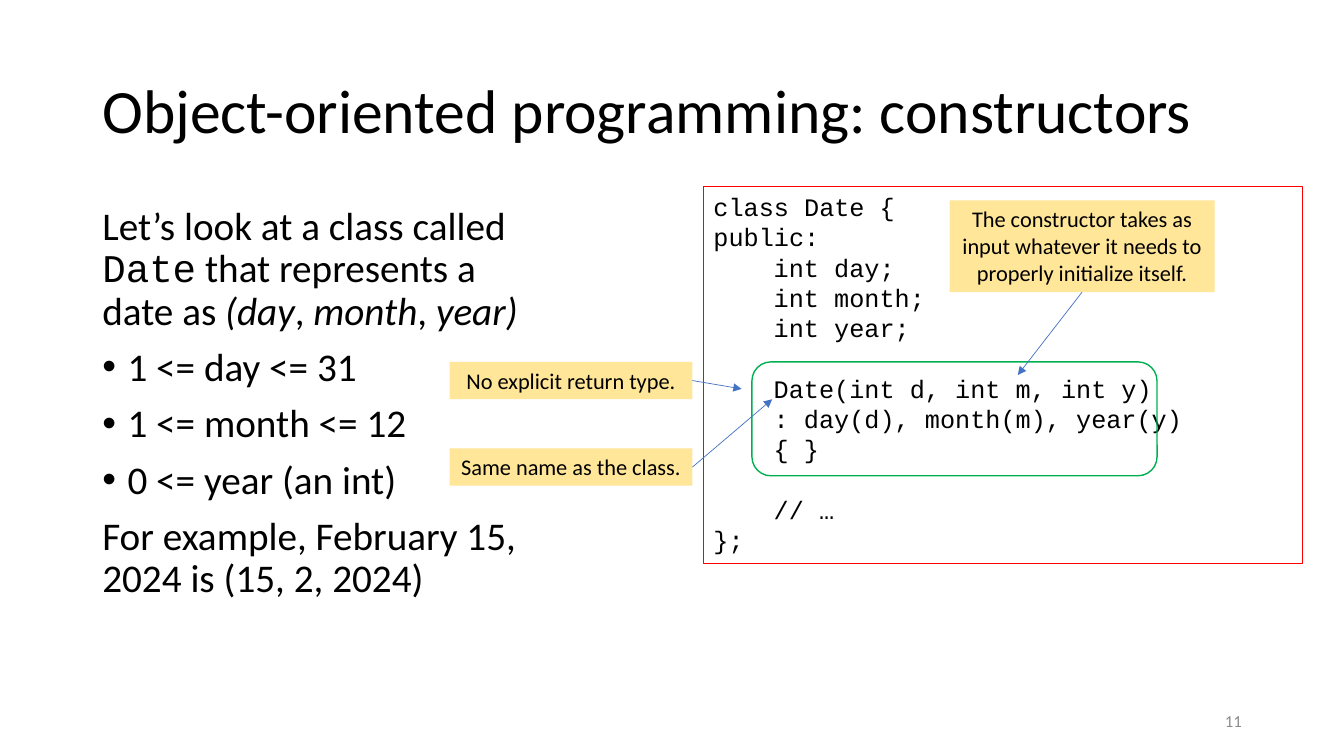
from lxml.etree import SubElement
from pptx import Presentation
from pptx.dml.color import RGBColor
from pptx.enum.shapes import MSO_CONNECTOR, MSO_SHAPE
from pptx.enum.text import MSO_ANCHOR, PP_ALIGN
from pptx.oxml.ns import qn
from pptx.util import Cm, Pt

BODY_FONT = "Calibri"
CODE_FONT = "Courier New"
BOTTOM, RIGHT = 2, 3
CODE_SIZE = 18
CODE_LINE = 21.6
CODE_INDENT = Cm(1.52)

INTRODUCTION = [
    ("Let’s look at a class called ", None),
    ("Date", "code"),
    (" that represents a date as ", None),
    ("(day", "italic"),
    (", ", None),
    ("month", "italic"),
    (", ", None),
    ("year)", "italic"),
]
RANGES = ["1 <= day <= 31", "1 <= month <= 12", "0 <= year (an int)"]
EXAMPLE = "For example, February 15, 2024 is (15, 2, 2024)"

CODE_BLOCKS = [
    [
        ("class Date {", 0),
        ("public:", 0),
        ("int day;", 1),
        ("int month;", 1),
        ("int year;", 1),
    ],
    [
        ("Date(int d, int m, int y)", 1),
        (": day(d), month(m), year(y)", 1),
        ("{ }", 1),
    ],
    [("// …", 1), ("};", 0)],
]

CALLOUTS = [
    ("No explicit return type.", (11.33, 9.12, 6.12, 0.94), RIGHT, (18.69, 9.8)),
    ("Same name as the class.", (11.33, 11.3, 6.12, 0.94), RIGHT, (19.46, 10.06)),
    (
        "The constructor takes as input whatever it needs to properly initialize itself.",
        (23.93, 5.05, 6.68, 2.31),
        BOTTOM,
        (25.65, 9.45),
    ),
]


def color(value):
    return RGBColor.from_string(value)


def set_font(paragraph, size, name=BODY_FONT, value="000000"):
    paragraph.font.size = Pt(size)
    paragraph.font.name = name
    paragraph.font.color.rgb = color(value)


def set_indent(paragraph, margin, first_line=0):
    properties = paragraph._p.get_or_add_pPr()
    properties.set("marL", str(int(margin)))
    properties.set("indent", str(int(first_line)))
    return properties


def add_bullet(paragraph):
    properties = set_indent(paragraph, Cm(0.635), -Cm(0.635))
    SubElement(properties, qn("a:buFont"), typeface="Arial")
    SubElement(properties, qn("a:buChar"), char="•")


def add_text_box(slide, box, anchor=MSO_ANCHOR.TOP):
    frame = slide.shapes.add_textbox(*map(Cm, box)).text_frame
    frame.word_wrap = True
    frame.vertical_anchor = anchor
    return frame


def add_box(slide, kind, box, fill=None, line=None, width=1):
    shape = slide.shapes.add_shape(kind, *map(Cm, box))
    shape.shadow.inherit = False
    if fill:
        shape.fill.solid()
        shape.fill.fore_color.rgb = color(fill)
    else:
        shape.fill.background()
    if line:
        shape.line.color.rgb = color(line)
        shape.line.width = Pt(width)
    else:
        shape.line.fill.background()
    return shape


def add_title(slide, text):
    frame = add_text_box(slide, (2.33, 1.02, 29.21, 3.68), MSO_ANCHOR.MIDDLE)
    paragraph = frame.paragraphs[0]
    paragraph.text = text
    paragraph.line_spacing = 0.9
    set_font(paragraph, 44)


def add_description(slide):
    frame = add_text_box(slide, (2.33, 5.08, 11.02, 12.09))
    for text, style in INTRODUCTION:
        run = frame.paragraphs[0].add_run()
        run.text = text
        if style == "code":
            run.font.name = CODE_FONT
        elif style == "italic":
            run.font.italic = True
    for text in RANGES:
        paragraph = frame.add_paragraph()
        paragraph.text = text
        add_bullet(paragraph)
    frame.add_paragraph().text = EXAMPLE
    for paragraph in frame.paragraphs:
        paragraph.line_spacing = 0.9
        paragraph.space_before = Pt(10)
        set_font(paragraph, 28)


def add_code(slide):
    box = (17.73, 4.7, 15.09, 9.5)
    shape = add_box(slide, MSO_SHAPE.RECTANGLE, box, line="FF0000", width=0.75)
    frame = shape.text_frame
    frame.vertical_anchor = MSO_ANCHOR.TOP
    paragraph = frame.paragraphs[0]
    for block_index, block in enumerate(CODE_BLOCKS):
        for line_index, (text, level) in enumerate(block):
            if block_index or line_index:
                paragraph = frame.add_paragraph()
            paragraph.text = text
            paragraph.alignment = PP_ALIGN.LEFT
            set_indent(paragraph, level * CODE_INDENT)
            if block_index and line_index == 0:
                paragraph.space_before = Pt(CODE_LINE)
            set_font(paragraph, CODE_SIZE, CODE_FONT)


def add_callout(slide, text, box, side, target):
    shape = add_box(slide, MSO_SHAPE.RECTANGLE, box, fill="FFE699")
    shape.text_frame.vertical_anchor = MSO_ANCHOR.TOP
    paragraph = shape.text_frame.paragraphs[0]
    paragraph.text = text
    paragraph.alignment = PP_ALIGN.CENTER
    set_font(paragraph, 16)
    add_arrow(slide, shape, side, target)


def add_arrow(slide, source, side, target):
    end = tuple(map(Cm, target))
    arrow = slide.shapes.add_connector(MSO_CONNECTOR.STRAIGHT, *end, *end)
    arrow.begin_connect(source, side)
    arrow.line.color.rgb = color("4472C4")
    arrow.line.width = Pt(0.5)
    SubElement(arrow.line._get_or_add_ln(), qn("a:tailEnd"), type="triangle")
    SubElement(arrow._element.spPr, qn("a:effectLst"))


def add_slide_number(slide, number):
    frame = add_text_box(slide, (23.93, 17.65, 7.62, 1.02), MSO_ANCHOR.MIDDLE)
    paragraph = frame.paragraphs[0]
    paragraph.text = number
    paragraph.alignment = PP_ALIGN.RIGHT
    set_font(paragraph, 12, value="8C8C8C")


def main():
    """Build the slide about constructors and save it."""
    presentation = Presentation()
    presentation.slide_width = Cm(33.87)
    presentation.slide_height = Cm(19.05)
    slide = presentation.slides.add_slide(presentation.slide_layouts[6])
    add_title(slide, "Object-oriented programming: constructors")
    add_description(slide)
    add_slide_number(slide, "11")
    add_code(slide)
    add_box(slide, MSO_SHAPE.ROUNDED_RECTANGLE, (18.95, 9.12, 10.21, 2.87), line="00B050")
    for callout in CALLOUTS:
        add_callout(slide, *callout)
    presentation.save("out.pptx")


if __name__ == "__main__":
    main()
